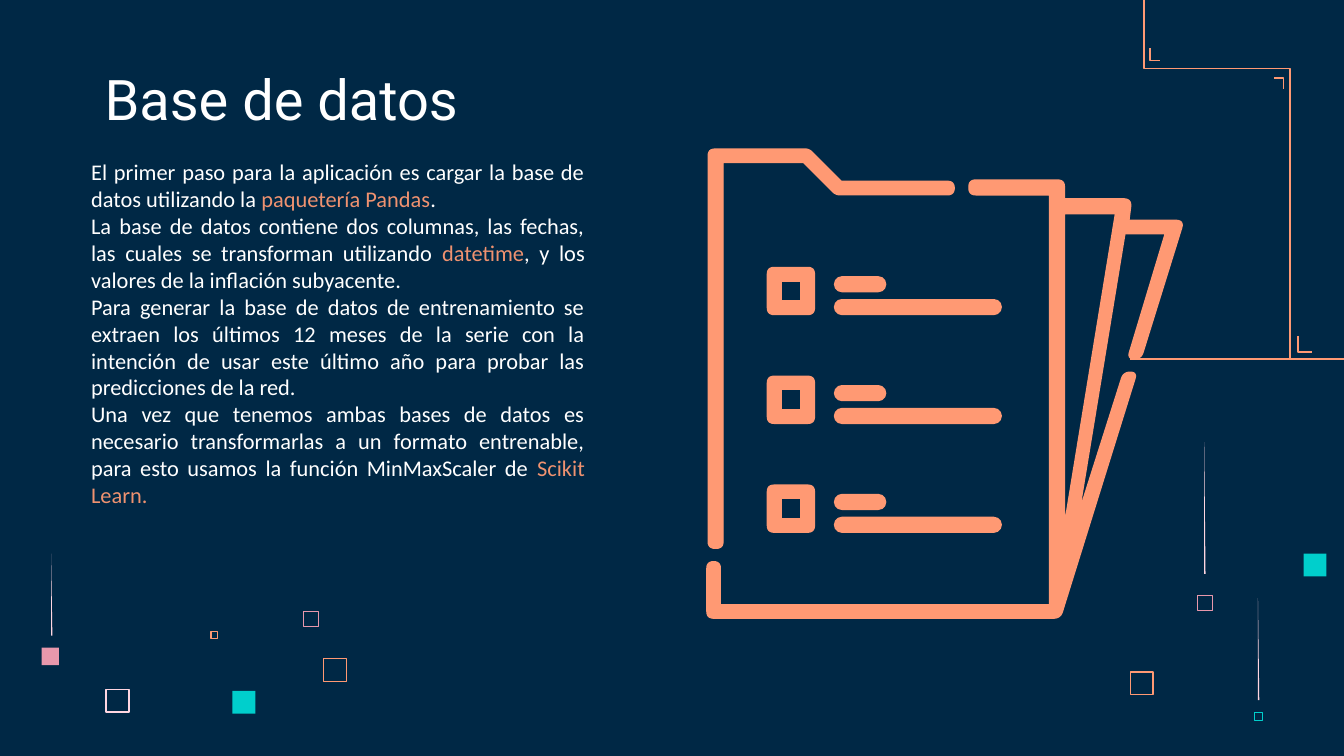
import math

from pptx import Presentation
from pptx.dml.color import RGBColor
from pptx.enum import shapes, text
from pptx.util import Inches, Pt

NAVY = RGBColor(0x00, 0x28, 0x45)
WHITE = RGBColor(0xFF, 0xFF, 0xFF)
CORAL = RGBColor(0xFF, 0x99, 0x73)
ACCENT = RGBColor(0xEF, 0x92, 0x70)
PINK = RGBColor(0xE8, 0x98, 0xAC)
PALE_PINK = RGBColor(0xFF, 0xD6, 0xE1)
TEAL = RGBColor(0x00, 0xCF, 0xCC)

# Each paragraph is a list of (wording, colour) runs
PARAGRAPHS = [
    [("El primer paso para la aplicación es cargar la base de datos utilizando la ", WHITE),
     ("paquetería Pandas", ACCENT), (".", WHITE)],
    [("La base de datos contiene dos columnas, las fechas, las cuales se transforman "
      "utilizando ", WHITE),
     ("datetime", ACCENT), (", y los valores de la inflación subyacente.", WHITE)],
    [("Para generar la base de datos de entrenamiento se extraen los últimos 12 meses de la "
      "serie con la intención de usar este último año para probar las predicciones de la red.",
      WHITE)],
    [("Una vez que tenemos ambas bases de datos es necesario transformarlas a un formato "
      "entrenable, para esto usamos la función MinMaxScaler de ", WHITE),
     ("Scikit Learn.", ACCENT)],
]

# Folder outlines as (x, y, corner radius), from the folder's top left
FOLDER_COVER = [
    (0.01, 0, 0.05), (0.76, 0, 0.03), (1, 0.24, 0), (1.84, 0.24, 0.05), (1.84, 0.34, 0.05),
    (0.96, 0.34, 0.03), (0.72, 0.1, 0), (0.12, 0.1, 0), (0.12, 2.97, 0.05), (0.01, 2.97, 0.05),
]
FOLDER_PAGES = [
    (1.95, 0.23, 0.05), (2.66, 0.23, 0.05), (2.66, 0.37, 0), (3.16, 0.37, 0.06),
    (3.14, 0.53, 0), (3.55, 0.53, 0.06), (3.23, 1.56, 0.05), (3.13, 1.56, 0.05),
    (3.41, 0.63, 0), (3.11, 0.63, 0), (2.77, 2.7, 0), (3.1, 1.66, 0.05), (3.2, 1.66, 0.05),
    (2.63, 3.49, 0.05), (0, 3.49, 0.05), (0, 3.07, 0.05), (0.1, 3.07, 0.05), (0.1, 3.39, 0),
    (2.55, 3.39, 0), (2.55, 0.34, 0), (1.95, 0.34, 0.05),
]
PAGE_GAP = [(3.04, 0.48, 0), (2.66, 2.8, 0), (2.66, 0.48, 0)]


def paint(shape, fill=None, line=None, width=0.75):
    shape.shadow.inherit = False
    if fill is None:
        shape.fill.background()
    else:
        shape.fill.solid()
        shape.fill.fore_color.rgb = fill
    if line is None:
        shape.line.fill.background()
    else:
        shape.line.color.rgb = line
        shape.line.width = Pt(width)


def add_outline(slide, left, top, contours, close=True):
    """Draw one freeform from contours given relative to left, top."""
    contours = [[(Inches(left + x), Inches(top + y)) for x, y in contour]
                for contour in contours]
    builder = slide.shapes.build_freeform(*contours[0][0], scale=1.0)
    for index, contour in enumerate(contours):
        if index:
            builder.move_to(*contour[0])
        builder.add_line_segments(contour[1:], close=close)
    return builder.convert_to_shape()


def round_corners(corners, steps=6):
    """Replace each corner that has a radius by a short curve."""
    points = []
    for index, (x, y, radius) in enumerate(corners):
        if not radius:
            points.append((x, y))
            continue
        ends = []
        for near_x, near_y, _ in (corners[index - 1], corners[(index + 1) % len(corners)]):
            share = radius / math.hypot(near_x - x, near_y - y)
            ends.append((x + (near_x - x) * share, y + (near_y - y) * share))
        (x0, y0), (x1, y1) = ends
        for step in range(steps + 1):
            t = step / steps
            a, b, c = (1 - t) ** 2, 2 * t * (1 - t), t ** 2
            points.append((a * x0 + b * x + c * x1, a * y0 + b * y + c * y1))
    return points


def square_corners(left, top, size, radius=0):
    right, bottom = left + size, top + size
    return [(left, top, radius), (right, top, radius),
            (right, bottom, radius), (left, bottom, radius)]


def add_decoration(slide):
    # Squares: left, top, size, fill, line, line width
    squares = [
        (0.79, 5.13, 0.17, None, PALE_PINK, 0.9),
        (2.26, 4.55, 0.11, None, PINK, 0.7),
        (1.57, 4.7, 0.05, None, CORAL, 0.7),
        (2.41, 4.9, 0.17, None, CORAL, 0.7),
        (8.41, 5, 0.17, None, CORAL, 0.7),
        (8.91, 4.43, 0.11, None, PINK, 0.23),
        (9.33, 5.3, 0.06, None, TEAL, 0.23),
        (0.31, 4.82, 0.13, PINK, None, 0),
        (1.73, 5.14, 0.17, TEAL, None, 0),
        (9.7, 4.12, 0.17, TEAL, None, 0),
    ]
    for left, top, size, fill, line, width in squares:
        square = slide.shapes.add_shape(shapes.MSO_SHAPE.RECTANGLE, Inches(left), Inches(top),
                                        Inches(size), Inches(size))
        paint(square, fill, line, width)
    # Tapering streaks above some squares
    for left, top, height in [(8.96, 3.29, 0.98), (0.38, 4.12, 0.61), (9.36, 4.45, 0.76)]:
        streak = add_outline(slide, left, top, [[(0, 0), (0, height), (0.01, height)]])
        paint(streak, PALE_PINK)


def add_circuit(slide, left, top):
    # Long stepped traces, then the small corner marks
    traces = [
        [(0, 2.67), (1.59, 2.67)],
        [(0.1, 0), (0.1, 0.51), (1.19, 0.51), (1.19, 2.67)],
        [(1.25, 2.5), (1.25, 2.62), (1.35, 2.62)],
        [(1.07, 0.58), (1.14, 0.58), (1.14, 0.66)],
        [(0.15, 0.36), (0.15, 0.45), (0.22, 0.45)],
    ]
    for points in traces:
        paint(add_outline(slide, left, top, [points], close=False), line=CORAL, width=1)


def add_folder(slide, left, top):
    # Back pages and front cover
    for outlines in ([FOLDER_PAGES, PAGE_GAP], [FOLDER_COVER]):
        part = add_outline(slide, left, top, [round_corners(outline) for outline in outlines])
        paint(part, CORAL, CORAL)
    # Three list rows: a box, a short bar and a long bar
    for row in range(3):
        row_top = top + 0.88 + row * 0.81
        ring = [round_corners(square_corners(0, 0, 0.35, 0.05)),
                round_corners(square_corners(0.1, 0.1, 0.15))]
        paint(add_outline(slide, left + 0.45, row_top, ring), CORAL, CORAL)
        for offset, width in [(0.07, 0.38), (0.24, 1.24)]:
            bar = slide.shapes.add_shape(
                shapes.MSO_SHAPE.ROUNDED_RECTANGLE, Inches(left + 0.95),
                Inches(row_top + offset), Inches(width), Inches(0.11))
            bar.adjustments[0] = 0.5
            paint(bar, CORAL, CORAL)


def add_text(slide, left, top, width, height, paragraphs, font, size, align, anchor):
    box = slide.shapes.add_textbox(Inches(left), Inches(top), Inches(width), Inches(height))
    frame = box.text_frame
    frame.word_wrap = True
    frame.vertical_anchor = anchor
    frame.margin_left = frame.margin_right = Inches(0.1)
    frame.margin_top = frame.margin_bottom = Inches(0.1)
    for index, runs in enumerate(paragraphs):
        paragraph = frame.add_paragraph() if index else frame.paragraphs[0]
        paragraph.alignment = align
        for wording, color in runs:
            run = paragraph.add_run()
            run.text = wording
            run.font.name = font
            run.font.size = Pt(size)
            run.font.color.rgb = color


def main():
    presentation = Presentation()
    # Widescreen, 16 to 9
    presentation.slide_width = Inches(10)
    presentation.slide_height = Inches(10) * 9 // 16
    slide = presentation.slides.add_slide(presentation.slide_layouts[6])
    slide.background.fill.solid()
    slide.background.fill.fore_color.rgb = NAVY

    add_decoration(slide)
    add_text(slide, 0.58, 1.08, 3.87, 2.92, PARAGRAPHS, "Calibri", 12,
             text.PP_ALIGN.JUSTIFY, text.MSO_ANCHOR.TOP)
    add_text(slide, 0.68, 0.45, 2.94, 0.63, [[("Base de datos", WHITE)]], "Roboto", 30,
             text.PP_ALIGN.LEFT, text.MSO_ANCHOR.BOTTOM)
    add_circuit(slide, 8.41, 0)
    add_folder(slide, 5.26, 1.11)
    presentation.save("out.pptx")


if __name__ == "__main__":
    main()
